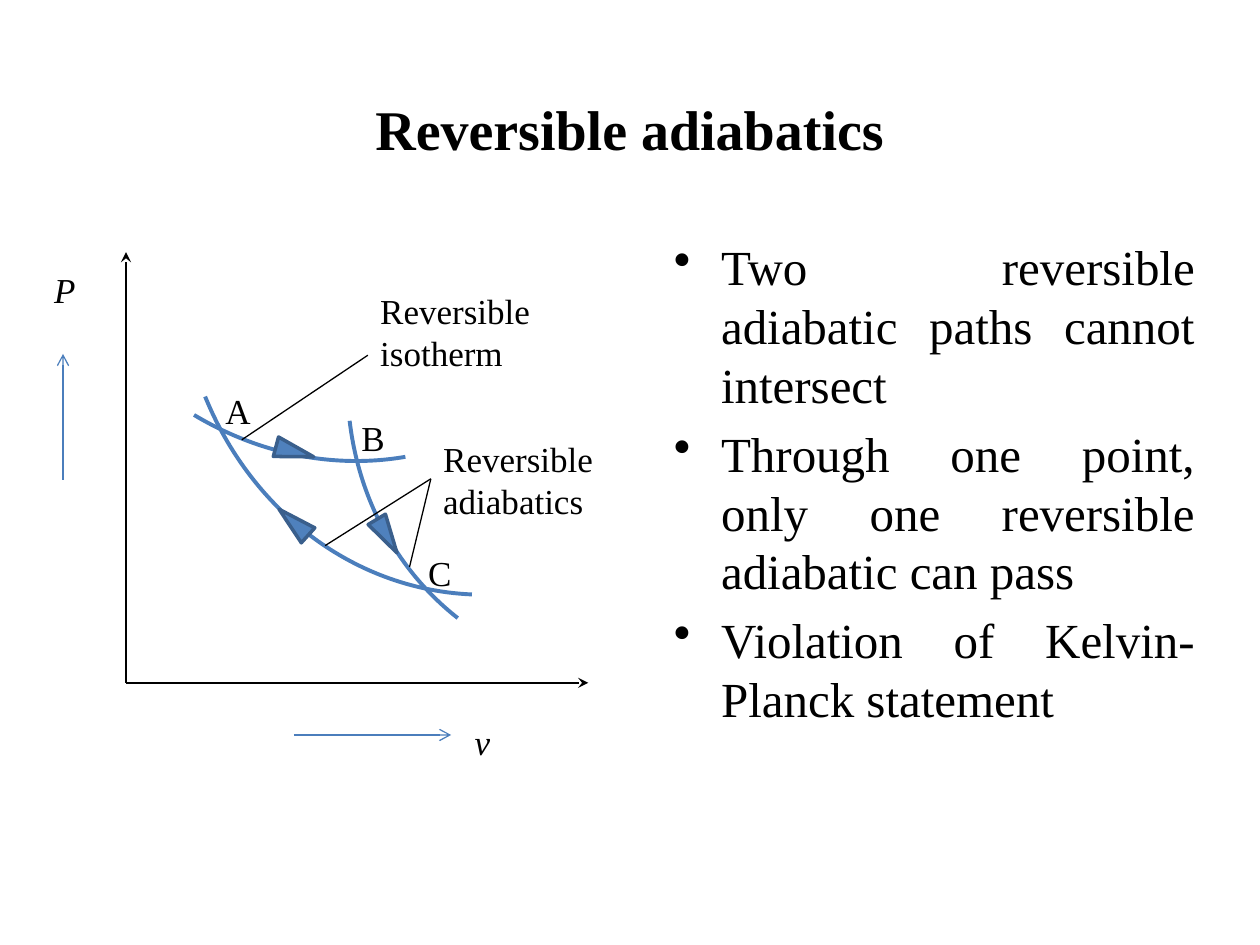
"""Build a slide on reversible adiabatics with a P-v diagram."""
from lxml import etree
from pptx import Presentation
from pptx.dml.color import RGBColor
from pptx.enum.shapes import MSO_CONNECTOR, MSO_SHAPE
from pptx.enum.text import MSO_AUTO_SIZE, PP_ALIGN
from pptx.oxml.ns import qn
from pptx.util import Pt

STRAIGHT = MSO_CONNECTOR.STRAIGHT
ARC = MSO_SHAPE.ARC
TRIANGLE = MSO_SHAPE.ISOSCELES_TRIANGLE
FIT_TEXT = MSO_AUTO_SIZE.SHAPE_TO_FIT_TEXT
CENTER = PP_ALIGN.CENTER
JUSTIFY = PP_ALIGN.JUSTIFY

BLACK = RGBColor(0x00, 0x00, 0x00)
CURVE_BLUE = RGBColor(0x4B, 0x7E, 0xBC)
ARROW_FILL = RGBColor(0x4F, 0x81, 0xBD)
ARROW_EDGE = RGBColor(0x3A, 0x5F, 0x8C)
FONT = "Times New Roman"

TITLE = "Reversible adiabatics"
BULLETS = [
    "Two reversible adiabatic paths cannot intersect",
    "Through one point, only one reversible adiabatic can pass",
    "Violation of Kelvin-Planck statement",
]
BULLET_INDENT = 27

AXES = [((72, 390.2), (336.2, 390.2)), ((72, 390.2), (72, 144))]
DIRECTIONS = [((168, 420), (257.8, 420)), ((36, 274.3), (36, 202.3))]
POINTERS = [
    ((138.2, 251.3), (210.2, 203)),
    ((185.8, 311.8), (246.2, 273.6)),
    ((234, 324), (246.2, 273.6)),
]

LABELS = [
    ("P", (23.8, 149.8, 27.4, 31.7), True),
    ("v", (264.2, 408.2, 23.8, 31.7), True),
    ("A", (121.7, 218.9, 29.5, 31.7), False),
    ("B", (199.4, 234.7, 28.1, 31.7), False),
    ("C", (237.6, 311.8, 28.1, 31.7), False),
    ("Reversible\nisotherm", (210.2, 162, 105.8, 55.4), False),
    ("Reversible\nadiabatics", (246.2, 246.2, 105.8, 55.4), False),
]

CURVE_SIZE = (347.8, 381.6)
CURVES = [
    ((102.2, -41.8), 180, (163.16, 200.38)),
    ((204.5, 11.5), 215.8, (163.16, 187.28)),
    ((15.8, -114.5), 151.6, (171.37, 194.71)),
]
ARROW_SIZE = (11.5, 22.3)
CURVE_ARROWS = [((215.3, 295.2), 149), ((162.7, 247), 105), ((162, 287.3), 312)]


def points(values):
    return [Pt(value) for value in values]


def add_text(slide, text, box, size, align=None, bold=False, italic=False):
    shape = slide.shapes.add_textbox(*points(box))
    frame = shape.text_frame
    frame.word_wrap = True
    frame.text = text
    for paragraph in frame.paragraphs:
        paragraph.alignment = align
        font = paragraph.font
        font.name, font.size = FONT, Pt(size)
        font.bold, font.italic = bold, italic
        font.color.rgb = BLACK
    return frame


def add_bullets(frame):
    for paragraph in frame.paragraphs:
        paragraph.space_before = Pt(5.6)
        properties = paragraph._p.get_or_add_pPr()
        properties.set("marL", str(Pt(BULLET_INDENT)))
        properties.set("indent", str(-Pt(BULLET_INDENT)))
        bullet = etree.Element(qn("a:buChar"), char="•")
        properties.find(qn("a:defRPr")).addprevious(bullet)


def add_label(slide, text, box, italic):
    frame = add_text(slide, text, box, 20, italic=italic)
    frame.word_wrap = False
    frame.auto_size = FIT_TEXT


def add_line(slide, start, end, color, width, arrowhead=None):
    connector = slide.shapes.add_connector(STRAIGHT, *points(start + end))
    connector.line.color.rgb = color
    connector.line.width = Pt(width)
    if arrowhead:
        etree.SubElement(connector.line._get_or_add_ln(), qn("a:tailEnd"), type=arrowhead)
    etree.SubElement(connector._element.spPr, qn("a:effectLst"))


def add_turned_shape(slide, kind, position, size, rotation, color, width):
    shape = slide.shapes.add_shape(kind, *points(position + size))
    shape.rotation = rotation
    shape.shadow.inherit = False
    shape.line.color.rgb = color
    shape.line.width = Pt(width)
    return shape


def main():
    presentation = Presentation()
    presentation.slide_width, presentation.slide_height = Pt(720), Pt(540)
    slide = presentation.slides.add_slide(presentation.slide_layouts[6])

    add_text(slide, TITLE, (36, 50.4, 648, 69.8), 32, CENTER, bold=True)
    add_bullets(add_text(slide, "\n".join(BULLETS), (378, 131.8, 311.8, 270), 28, JUSTIFY))

    for start, end in AXES:
        add_line(slide, start, end, BLACK, 1, "stealth")
    for start, end in DIRECTIONS:
        add_line(slide, start, end, CURVE_BLUE, 0.75, "arrow")
    for position, rotation, angles in CURVES:
        curve = add_turned_shape(slide, ARC, position, CURVE_SIZE, rotation, CURVE_BLUE, 2.25)
        curve.fill.background()
        curve.adjustments[0], curve.adjustments[1] = angles
    for text, box, italic in LABELS:
        add_label(slide, text, box, italic)
    for position, rotation in CURVE_ARROWS:
        arrow = add_turned_shape(slide, TRIANGLE, position, ARROW_SIZE, rotation, ARROW_EDGE, 2)
        arrow.fill.solid()
        arrow.fill.fore_color.rgb = ARROW_FILL
    for start, end in POINTERS:
        add_line(slide, start, end, BLACK, 0.75)

    presentation.save("out.pptx")


if __name__ == "__main__":
    main()
